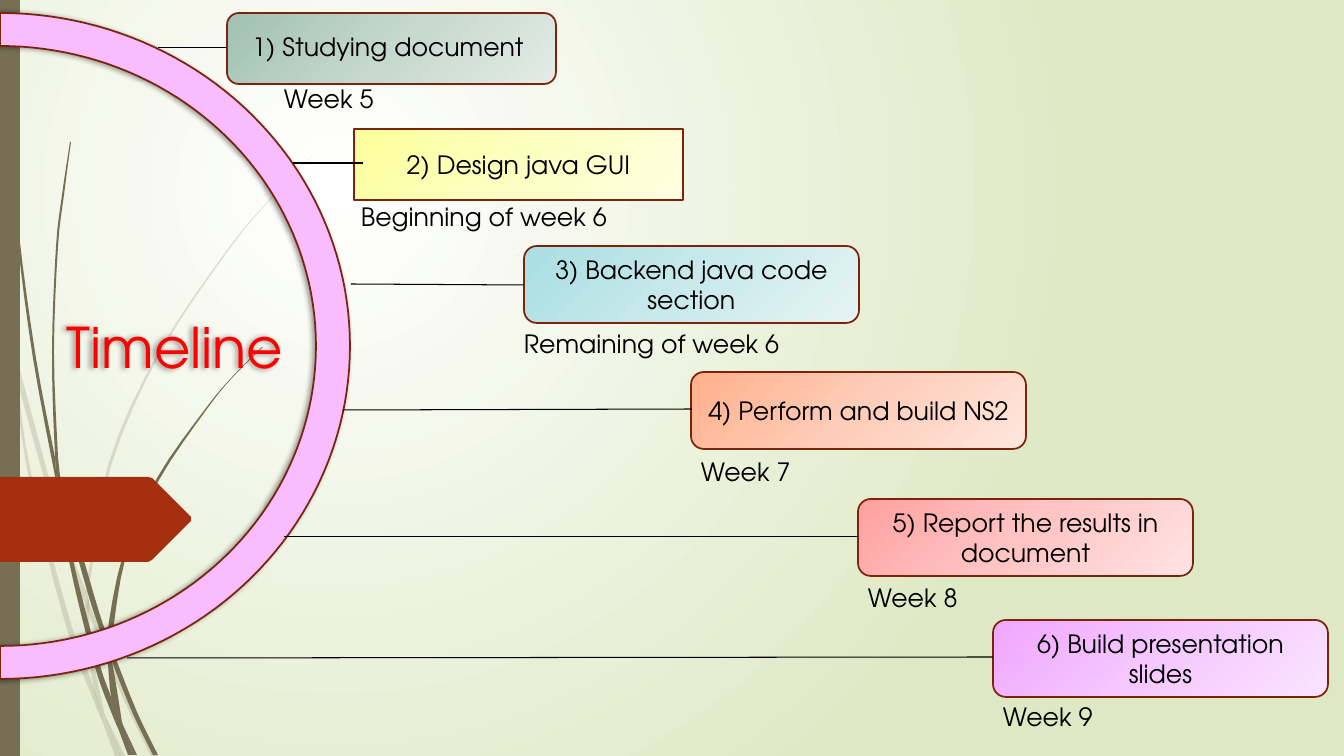
from dataclasses import dataclass
from math import cos, pi, sin

from lxml.etree import SubElement
from pptx import Presentation
from pptx.dml.color import RGBColor
from pptx.enum.shapes import MSO_CONNECTOR, MSO_SHAPE
from pptx.enum.text import MSO_ANCHOR, MSO_AUTO_SIZE, PP_ALIGN
from pptx.oxml import parse_xml
from pptx.oxml.ns import nsdecls, qn
from pptx.util import Emu, Pt

PX = 12192000 / 1344
Point = tuple[float, float]


@dataclass(frozen=True)
class Theme:
    """Colours, fonts and sizes of the slide."""
    font: str = "TeX Gyre Adventor"
    body: int = 18
    title: int = 40
    ink: str = "000000"
    heading: str = "FF0000"
    border: str = "7A240C"
    ring: str = "F8BCFF"
    grass: str = "766F54"
    tag: str = "A53010"
    glow: tuple[str, ...] = ("FFFFFF", "DFE8C4")


@dataclass(frozen=True)
class Step:
    """One stage of the timeline with its link to the ring and its week."""
    task: str
    week: str
    box: tuple[int, int, int, int]
    tones: tuple[str, str, str]
    link: tuple[int, int, int, int]
    label: tuple[int, int, int]
    outline: MSO_SHAPE = MSO_SHAPE.ROUNDED_RECTANGLE
    spacing: tuple[float, int] = (1.0, 0)


@dataclass(frozen=True)
class Blade:
    """One piece of grass between two smooth edges."""
    down: list[Point]
    back: list[Point]


THEME = Theme()
STEPS = [
    Step("1) Studying document ", "Week 5", (227, 13, 329, 71), ("A1C1B2", "C6D8CF", "E3EBE7"),
         (227, 48, 158, 48), (274, 78, 137), spacing=(0.9, 10)),
    Step("2) Design java GUI", "Beginning of week 6", (354, 129, 329, 71), ("FCFF9A", "FDFFC1", "FEFFE0"),
         (363, 163, 293, 163), (351, 196, 329), MSO_SHAPE.RECTANGLE, (1.0, 10)),
    Step("3) Backend java code section", "Remaining of week 6", (524, 246, 335, 77),
         ("A8DEE2", "C9E9EB", "E5F4F5"), (524, 285, 351, 284), (514, 323, 329)),
    Step("4) Perform and build NS2", "Week 7", (691, 372, 335, 77), ("FFB08B", "FECDB9", "FEE6DD"),
         (692, 409, 343, 410), (691, 451, 329)),
    Step("5) Report the results in document", "Week 8", (858, 499, 335, 77), ("FFA0A0", "FFC5C5", "FFE3E3"),
         (859, 537, 284, 537), (858, 577, 329)),
    Step("6) Build presentation slides", "Week 9", (993, 620, 335, 77), ("F0A7FF", "F5C8FF", "FAE3FF"),
         (993, 657, 127, 658), (993, 696, 329)),
]
PALE_GRASS = [
    Blade([(11, 353), (9, 325), (0, 284)], [(0, 301), (10, 347)]),
    Blade([(14, 348), (17, 379), (58, 526), (85, 604)], [(86, 591), (62, 524), (14, 348)]),
    Blade([(89, 601), (89, 615), (124, 700), (151, 756)], [(156, 756), (128, 698), (93, 612), (89, 601)]),
    Blade([(106, 717), (120, 756)], [(125, 756), (106, 717)]),
    Blade([(11, 353), (28, 474), (66, 626), (93, 699), (102, 720)],
          [(100, 713), (94, 688), (71, 624), (31, 473), (17, 379), (11, 353)]),
    Blade([(85, 604), (88, 651), (94, 688), (97, 698), (106, 717)],
          [(104, 712), (92, 651), (89, 615), (85, 604)]),
    Blade([(86, 591), (108, 465), (159, 351), (230, 246), (270, 199), (291, 176), (314, 154)],
          [(292, 176), (270, 200), (231, 247), (161, 352), (111, 466), (89, 589), (89, 601)]),
    Blade([(102, 720), (115, 756)], [(120, 756), (102, 720)]),
    Blade([(86, 591), (85, 604)], [(89, 613), (89, 601)]),
    Blade([(94, 688), (100, 713), (102, 720), (120, 756)], [(106, 717), (97, 698), (94, 688)]),
]
DARK_GRASS = [
    Blade([(3, 0), (4, 48), (7, 111), (17, 235), (33, 358), (56, 481), (57, 485)],
          [(55, 457), (36, 358), (19, 234), (8, 110), (5, 48), (4, 0)]),
    Blade([(60, 476), (65, 509), (89, 597), (107, 650)], [(107, 636), (94, 595), (60, 476)]),
    Blade([(111, 646), (112, 661), (133, 714), (153, 755)], [(158, 755), (137, 712), (114, 654), (111, 646)]),
    Blade([(57, 481), (69, 561), (94, 664), (112, 714), (118, 728)],
          [(117, 723), (111, 697), (99, 662), (73, 560), (65, 509), (57, 481)]),
    Blade([(70, 142), (62, 195), (56, 247), (52, 352), (55, 453), (60, 476)],
          [(58, 457), (54, 352), (58, 247), (64, 195), (71, 142)]),
    Blade([(123, 725), (134, 755)], [(137, 755), (123, 725)]),
    Blade([(55, 453), (57, 481), (65, 509)], [(60, 476), (55, 453)]),
    Blade([(262, 347), (233, 376), (206, 408), (157, 478), (123, 555), (107, 636), (111, 646)],
          [(112, 638), (126, 556), (159, 480), (207, 409), (233, 377), (263, 347)]),
    Blade([(118, 728), (128, 755)], [(132, 755), (118, 728)]),
    Blade([(107, 650), (111, 697), (117, 712), (123, 725)], [(122, 722), (112, 661), (107, 650)]),
    Blade([(107, 636), (107, 650)], [(112, 661), (111, 646)]),
    Blade([(111, 697), (117, 723), (118, 728), (131, 755)], [(134, 755), (123, 725), (117, 712), (111, 697)]),
]
TAG = [(0, 477), (148, 477), (152, 478), (191, 517), (191, 521), (152, 560), (148, 562), (0, 562)]


def emu(*lengths: float) -> list[Emu]:
    """Turn pixels into EMU."""
    return [Emu(round(length * PX)) for length in lengths]


def apply(target, values: dict) -> None:
    """Set every attribute named in a dict."""
    for attribute, value in values.items():
        setattr(target, attribute, value)


def gradient(tones: tuple[str, ...], direction: str):
    """Return a gradient fill with evenly spaced tones."""
    stops = "".join(f'<a:gs pos="{100000 * i // (len(tones) - 1)}"><a:srgbClr val="{tone}"/></a:gs>'
                    for i, tone in enumerate(tones))
    return parse_xml(f'<a:gradFill {nsdecls("a")} rotWithShape="1"><a:gsLst>{stops}</a:gsLst>{direction}</a:gradFill>')


def paint(shape, fill: str, border: str | None = None) -> None:
    """Give a shape a plain fill, an optional border and no shadow."""
    shape.shadow.inherit = False
    shape.fill.solid()
    shape.fill.fore_color.rgb = RGBColor.from_string(fill)
    if border:
        apply(shape.line, {"width": Pt(1.25)})
        shape.line.color.rgb = RGBColor.from_string(border)
    else:
        shape.line.fill.background()


def write(shape, text: str, size: int, color: str, frame: dict, paragraph: dict) -> None:
    """Write one formatted paragraph into a shape."""
    apply(shape.text_frame, {"word_wrap": True, **frame})
    line = shape.text_frame.paragraphs[0]
    apply(line, paragraph)
    run = line.add_run()
    run.text = text
    apply(run.font, {"name": THEME.font, "size": Pt(size)})
    run.font.color.rgb = RGBColor.from_string(color)


def smooth(knots: list[Point]) -> list[Point]:
    """Return points of a Catmull-Rom curve through the knots."""
    padded = [knots[0], *knots, knots[-1]]
    curve = [knots[0]]
    for a, b, c, d in zip(padded, padded[1:], padded[2:], padded[3:]):
        for t in (0.25, 0.5, 0.75, 1):
            curve.append(tuple(q + 0.5 * t * (r - p + t * (2 * p - 5 * q + 4 * r - s + t * (3 * (q - r) + s - p)))
                               for p, q, r, s in zip(a, b, c, d)))
    return curve


def outline(shapes, points: list[Point]):
    """Add a closed freeform through the points."""
    start, *rest = [tuple(emu(*point)) for point in points]
    builder = shapes.build_freeform(*start)
    builder.add_line_segments(rest, close=True)
    return builder.convert_to_shape()


def draw_blade(shapes, blade: Blade, opacity: int) -> None:
    """Draw one piece of grass."""
    grass = outline(shapes, smooth(blade.down) + smooth(blade.back))
    paint(grass, THEME.grass)
    tone = grass.fill._xPr.find(qn("a:solidFill"))[0]
    SubElement(tone, qn("a:alpha")).set("val", str(opacity * 1000))


def draw_ring(shapes) -> None:
    """Draw the half ring that carries the heading."""
    turns = [pi * i / 90 - pi / 2 for i in range(91)]
    outer = [(350 * cos(turn), 346 + 333 * sin(turn)) for turn in turns]
    inner = [(316 * cos(turn), 346 + 300 * sin(turn)) for turn in reversed(turns)]
    ring = outline(shapes, outer + inner)
    paint(ring, THEME.ring, THEME.border)
    ring._element.spPr.find(qn("a:effectLst")).append(parse_xml(
        f'<a:outerShdw {nsdecls("a")} blurRad="50800" dist="38100" dir="10800000" rotWithShape="0">'
        f'<a:srgbClr val="{THEME.ink}"><a:alpha val="40000"/></a:srgbClr></a:outerShdw>'))
    write(ring, "Timeline", THEME.title, THEME.heading, {"vertical_anchor": MSO_ANCHOR.MIDDLE},
          {"alignment": PP_ALIGN.CENTER})


def draw_step(shapes, step: Step) -> None:
    """Draw the box, link and week of one step."""
    box = shapes.add_shape(step.outline, *emu(*step.box))
    paint(box, step.tones[0], THEME.border)
    plain = box._element.spPr.find(qn("a:solidFill"))
    plain.getparent().replace(plain, gradient(step.tones, '<a:lin ang="2700000" scaled="0"/>'))
    leading, before = step.spacing
    write(box, step.task, THEME.body, THEME.ink, {"vertical_anchor": MSO_ANCHOR.MIDDLE},
          {"alignment": PP_ALIGN.CENTER, "line_spacing": leading, "space_before": Pt(before)})
    link = shapes.add_connector(MSO_CONNECTOR.STRAIGHT, *emu(*step.link))
    apply(link.line, {"width": Pt(0.75)})
    link.line.color.rgb = RGBColor.from_string(THEME.ink)
    SubElement(link._element.spPr, qn("a:effectLst"))
    week = shapes.add_textbox(*emu(*step.label, 40))
    write(week, step.week, THEME.body, THEME.ink, {"auto_size": MSO_AUTO_SIZE.SHAPE_TO_FIT_TEXT}, {})


def main() -> None:
    """Build the timeline slide."""
    deck = Presentation()
    apply(deck, dict(zip(("slide_width", "slide_height"), emu(1344, 756))))
    slide = deck.slides.add_slide(deck.slide_layouts[6])
    slide.background.fill.solid()
    plain = next(slide.element.iter(qn("a:solidFill")))
    plain.getparent().replace(plain, gradient(
        THEME.glow, '<a:path path="circle"><a:fillToRect l="50000" t="50000" r="100000" b="100000"/></a:path>'))
    for blades, opacity in ((PALE_GRASS, 20), (DARK_GRASS, 100)):
        for blade in blades:
            draw_blade(slide.shapes, blade, opacity)
    paint(slide.shapes.add_shape(MSO_SHAPE.RECTANGLE, *emu(0, 0, 20, 756)), THEME.grass)
    paint(outline(slide.shapes, TAG), THEME.tag)
    draw_ring(slide.shapes)
    for step in STEPS:
        draw_step(slide.shapes, step)
    deck.save("out.pptx")


main()
